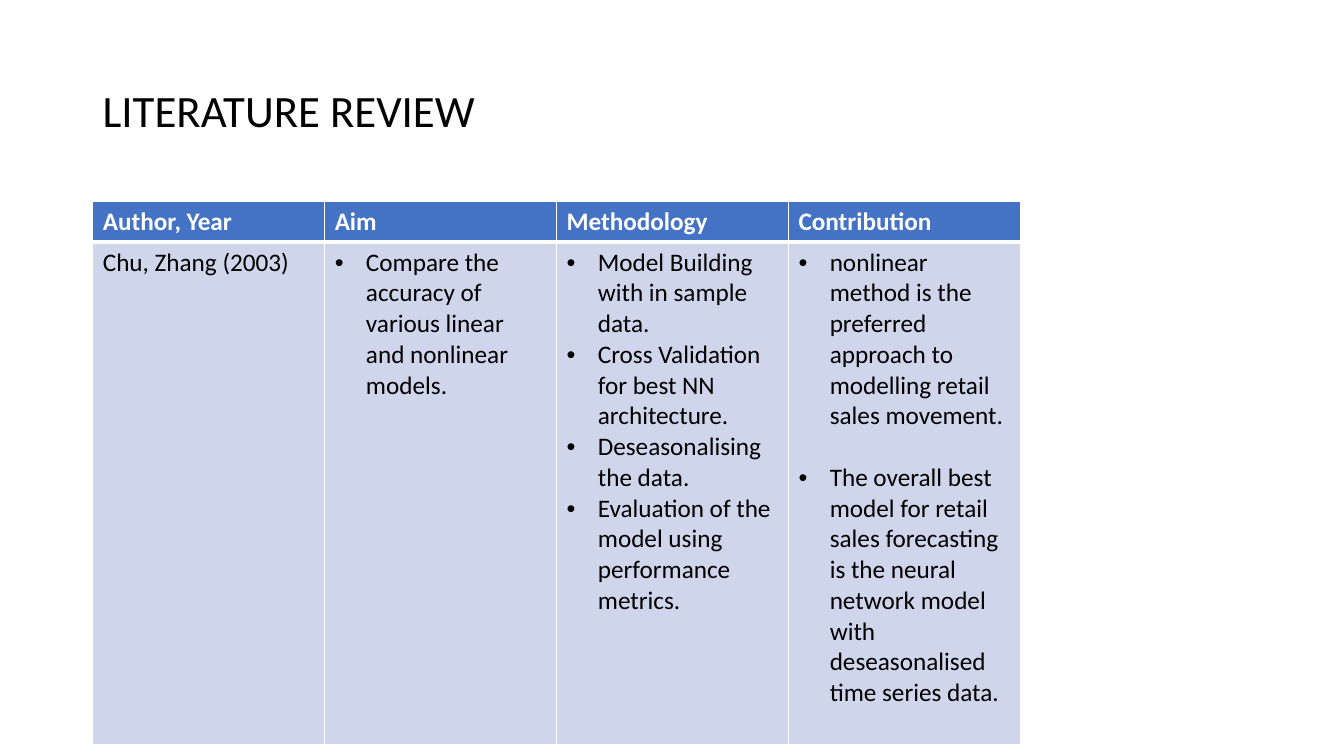
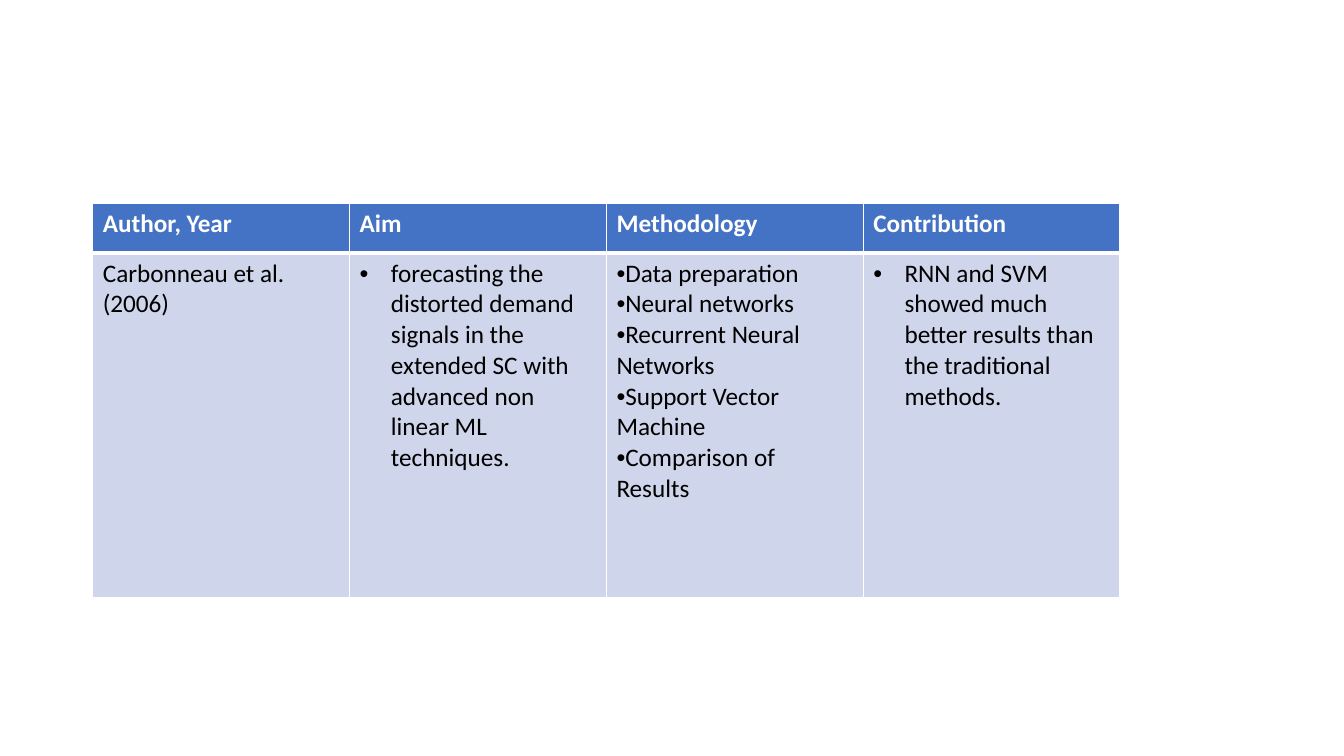
from lxml import etree
from pptx import Presentation
from pptx.dml.color import RGBColor
from pptx.enum.text import MSO_ANCHOR
from pptx.oxml.ns import qn
from pptx.util import Inches, Pt

MIDDLE = MSO_ANCHOR.MIDDLE
BLANK_LAYOUT = 6
COLORS = {"text": "000000", "header": "4472C4", "body": "CFD5EA", "light": "FFFFFF"}
TITLE_FORMAT = {"name": "Calibri", "size": Pt(32), "bold": False}
HEADER_FORMAT = {"name": "Calibri", "size": Pt(18), "bold": True}
BODY_FORMAT = {**HEADER_FORMAT, "bold": False}
HEADINGS = ["Author, Year", "Aim", "Methodology", "Contribution"]
LEFT = 0.92
HANGING = 0.31
THIN, THICK = 1, 3


def write(paragraph, text, formats, color):
    run = paragraph.add_run()
    run.text = text
    for attribute, value in formats.items():
        setattr(run.font, attribute, value)
    run.font.color.rgb = RGBColor.from_string(COLORS[color])


def add_bullet(paragraph, indent):
    properties = paragraph._p.get_or_add_pPr()
    properties.set("marL", str(Inches(indent)))
    properties.set("indent", str(Inches(-indent)))
    etree.SubElement(properties, qn("a:buFont"), typeface="Arial")
    etree.SubElement(properties, qn("a:buChar"), char="•")


def add_borders(cell, widths):
    properties = cell._tc.get_or_add_tcPr()
    for position, (side, width) in enumerate(widths.items()):
        line = etree.Element(qn(f"a:ln{side}"), w=str(Pt(width)))
        fill = etree.SubElement(line, qn("a:solidFill"))
        etree.SubElement(fill, qn("a:srgbClr"), val=COLORS["light"])
        properties.insert(position, line)


def style_cell(cell, fill, top, bottom):
    cell.fill.solid()
    cell.fill.fore_color.rgb = RGBColor.from_string(COLORS[fill])
    add_borders(cell, {"L": THIN, "R": THIN, "T": top, "B": bottom})


def fill_points(cell, points, indent, gap):
    frame = cell.text_frame
    for number, point in enumerate(points):
        paragraph = frame.add_paragraph() if number else frame.paragraphs[0]
        if number:
            paragraph.space_before = Pt(gap)
        add_bullet(paragraph, indent)
        write(paragraph, point, BODY_FORMAT, "text")


def add_title(slide, text, box):
    frame = slide.shapes.add_textbox(*map(Inches, box)).text_frame
    frame.word_wrap = True
    frame.vertical_anchor = MIDDLE
    heading = frame.paragraphs[0]
    heading.line_spacing = 0.9
    write(heading, text, TITLE_FORMAT, "text")


def add_review(slide, box, header_height, study):
    width, height = box[2:]
    review = slide.shapes.add_table(2, len(HEADINGS), *map(Inches, box)).table
    for column in review.columns:
        column.width = Inches(width / len(HEADINGS))
    review.rows[0].height = Inches(header_height)
    review.rows[1].height = Inches(height - header_height)
    for index, heading in enumerate(HEADINGS):
        header, body = review.cell(0, index), review.cell(1, index)
        style_cell(header, "header", THIN, THICK)
        style_cell(body, "body", THICK, THIN)
        write(header.text_frame.paragraphs[0], heading, HEADER_FORMAT, "light")
        if index:
            fill_points(body, **{"indent": HANGING, "gap": 0, **study[heading]})
        else:
            write(body.text_frame.paragraphs[0], study[heading], BODY_FORMAT, "text")


CHU_ZHANG = {
    "Author, Year": "Chu, Zhang (2003)",
    "Aim": {"points": ["Compare the accuracy of various linear and nonlinear models."]},
    "Methodology": {"points": [
        "Model Building with in sample data.",
        "Cross Validation for best NN architecture.",
        "Deseasonalising the data.",
        "Evaluation of the model using performance metrics.",
    ]},
    "Contribution": {"gap": 22, "points": [
        "nonlinear method is the preferred approach to modelling retail sales movement.",
        "The overall best model for retail sales forecasting is the neural network model "
        "with deseasonalised time series data.",
    ]},
}
CARBONNEAU = {
    "Author, Year": "Carbonneau et al. (2006)",
    "Aim": {"points": [
        "forecasting the distorted demand signals in the extended SC with advanced "
        "non linear ML techniques.",
    ]},
    "Methodology": {"indent": 0, "points": [
        "Data preparation",
        "Neural networks",
        "Recurrent Neural Networks",
        "Support Vector Machine",
        "Comparison of Results",
    ]},
    "Contribution": {"points": [
        "RNN and SVM showed much better results than the traditional methods.",
    ]},
}

deck = Presentation()
deck.slide_width, deck.slide_height = Inches(13.33), Inches(7.5)
blank = deck.slide_layouts[BLANK_LAYOUT]

opening = deck.slides.add_slide(blank)
add_title(opening, "LITERATURE REVIEW", (LEFT, 0.4, 11.5, 1.45))
add_review(opening, (LEFT, 2, 9.2, 5.38), 0.39, CHU_ZHANG)

continuation = deck.slides.add_slide(blank)
add_review(continuation, (LEFT, 2.02, 10.19, 3.91), 0.49, CARBONNEAU)

deck.save("out.pptx")
